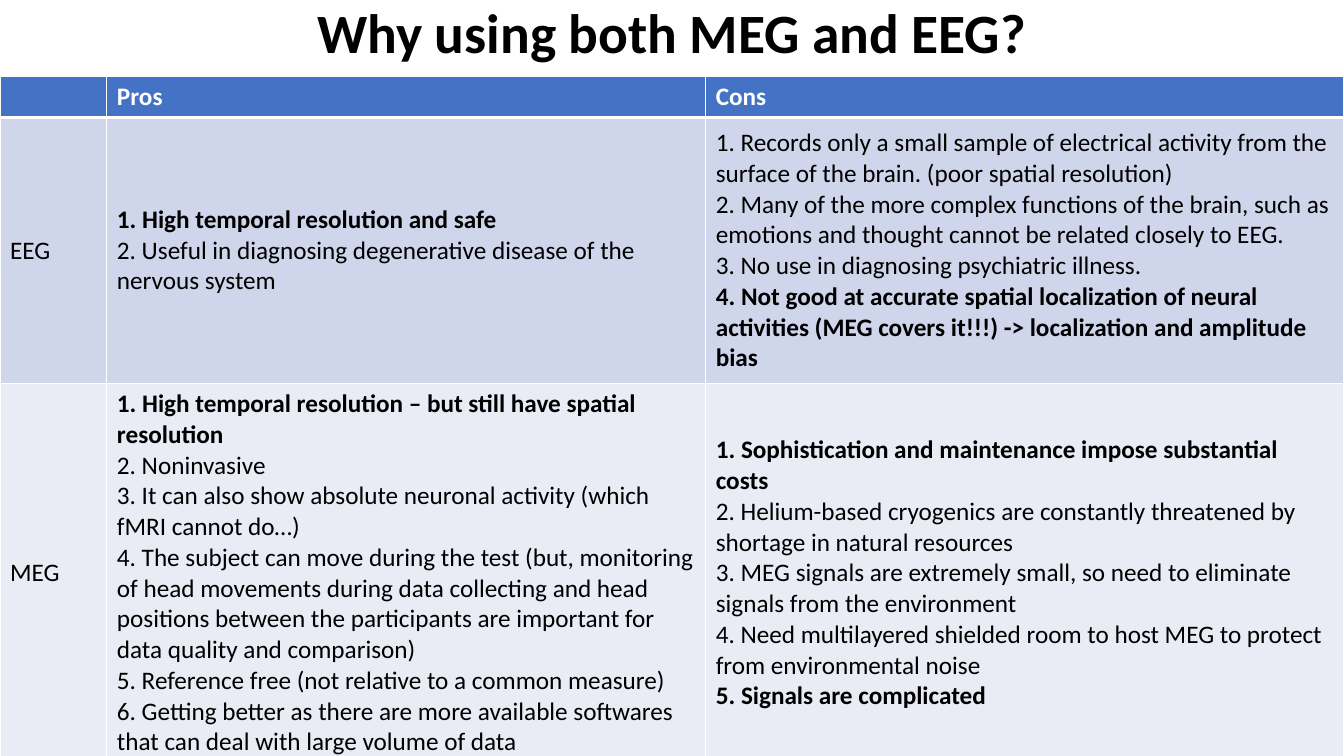
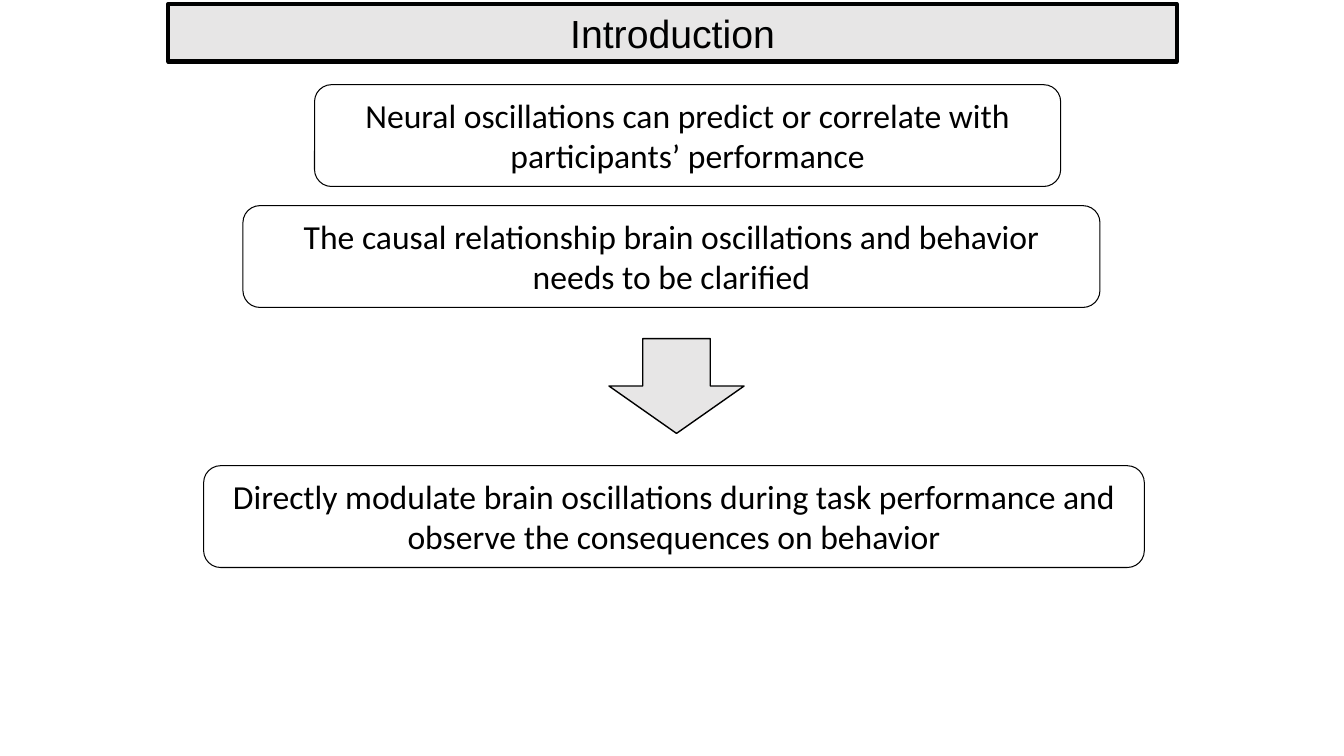
from lxml import etree
from pptx import Presentation
from pptx import util as u
from pptx.dml.color import RGBColor
from pptx.enum import shapes, text
from pptx.oxml.ns import qn

PX = 9144
BLACK, WHITE, GRAY, BLUE = "000000", "FFFFFF", "E7E6E6", "4472C4"
BANDS = [BLUE, "CFD5EA", "E9EBF5"]


def paint(target, color, line=None):
    target.fill.solid()
    target.fill.fore_color.rgb = RGBColor.from_string(color)
    if line:
        target.line.color.rgb = RGBColor.from_string(BLACK)
        target.line.width = u.Pt(line)


def write(tf, content, size, color=BLACK, font="Calibri", bold=False, align=None):
    tf.text = content
    for p in tf.paragraphs:
        p.alignment = align
        for r in p.runs:
            r.font.size = u.Pt(size)
            r.font.name = font
            r.font.bold = bold
            r.font.color.rgb = RGBColor.from_string(color)


prs = Presentation()
prs.slide_width, prs.slide_height = 1333 * PX, 750 * PX
CENTER = text.PP_ALIGN.CENTER

titles = [
    ("Why using both MEG and EEG?", (0, 0, 1333, 70), 39.6, "Calibri", True),
    ("Introduction", (167, 4, 1000, 57), 28, "Arial", False),
]
slides = []
for content, box, size, font, bold in titles:
    s = prs.slides.add_slide(prs.slide_layouts[5])
    title = s.shapes.title
    title.left, title.top, title.width, title.height = [v * PX for v in box]
    tf = title.text_frame
    tf.auto_size = text.MSO_AUTO_SIZE.NONE
    tf.vertical_anchor = text.MSO_ANCHOR.MIDDLE
    write(tf, content, size, font=font, bold=bold, align=CENTER)
    slides.append(s)
compare, intro = slides
compare.shapes.title.text_frame.paragraphs[0].line_spacing = 0.9
paint(intro.shapes.title, GRAY, 3)

rows = [
    [[""], ["Pros"], ["Cons"]],
    [
        ["EEG"],
        [
            "1. High temporal resolution and safe",
            "2. Useful in diagnosing degenerative disease of the nervous system",
        ],
        [
            "1. Records only a small sample of electrical activity from the surface of the brain. (poor spatial resolution)",
            "2. Many of the more complex functions of the brain, such as emotions and thought cannot be related closely to EEG.",
            "3. No use in diagnosing psychiatric illness.",
            "4. Not good at accurate spatial localization of neural activities (MEG covers it!!!) -> localization and amplitude bias",
        ],
    ],
    [
        ["MEG"],
        [
            "1. High temporal resolution – but still have spatial resolution",
            "2. Noninvasive",
            "3. It can also show absolute neuronal activity (which fMRI cannot do…)",
            "4. The subject can move during the test (but, monitoring of head movements during data collecting and head positions between the participants are important for data quality and comparison)",
            "5. Reference free (not relative to a common measure)",
            "6. Getting better as there are more available softwares that can deal with large volume of data",
        ],
        [
            "1. Sophistication and maintenance impose substantial costs",
            "2. Helium-based cryogenics are constantly threatened by shortage in natural resources",
            "3. MEG signals are extremely small, so need to eliminate signals from the environment",
            "4. Need multilayered shielded room to host MEG to protect from environmental noise",
            "5. Signals are complicated",
        ],
    ],
]
bold_points = {(1, 1): [0], (1, 2): [3], (2, 1): [0], (2, 2): [0, 4]}

table = compare.shapes.add_table(3, 3, 0, 76 * PX, 1333 * PX, 656 * PX).table
for col, width in zip(table.columns, [106, 594, 633]):
    col.width = width * PX
for row, height in zip(table.rows, [36, 264, 356]):
    row.height = height * PX

for i, row in enumerate(rows):
    for j, points in enumerate(row):
        cell = table.cell(i, j)
        cell.vertical_anchor = text.MSO_ANCHOR.MIDDLE
        write(cell.text_frame, "\n".join(points), 18, BLACK if i else WHITE, bold=i == 0)
        for k in bold_points.get((i, j), []):
            cell.text_frame.paragraphs[k].runs[0].font.bold = True
        tc_pr = cell._tc.get_or_add_tcPr()
        widths = {"L": 1, "R": 1, "T": 3 if i == 1 else 1, "B": 1 if i else 3}
        for side, width in widths.items():
            ln = etree.SubElement(tc_pr, qn("a:ln" + side), w=str(u.Pt(width)))
            fill = etree.SubElement(ln, qn("a:solidFill"))
            etree.SubElement(fill, qn("a:srgbClr"), val=WHITE)
        paint(cell, BANDS[i])

statements = [
    (312, 84, 740, "Neural oscillations can predict or correlate with participants’ performance"),
    (241, 204, 850, "The causal relationship brain oscillations and behavior\nneeds to be clarified"),
    (202, 462, 933, "Directly modulate brain oscillations during task performance and observe the consequences on behavior"),
]
for left, top, width, content in statements:
    sp = intro.shapes.add_shape(
        shapes.MSO_SHAPE.ROUNDED_RECTANGLE, left * PX, top * PX, width * PX, 101 * PX
    )
    sp.shadow.inherit = False
    paint(sp, WHITE, 0.75)
    sp.text_frame.word_wrap = True
    sp.text_frame.vertical_anchor = text.MSO_ANCHOR.TOP
    write(sp.text_frame, content, 24, align=CENTER)

arrow = intro.shapes.add_shape(
    shapes.MSO_SHAPE.DOWN_ARROW, 604 * PX, 336 * PX, 134 * PX, 94 * PX
)
arrow.shadow.inherit = False
paint(arrow, GRAY, 1)

prs.save("out.pptx")
